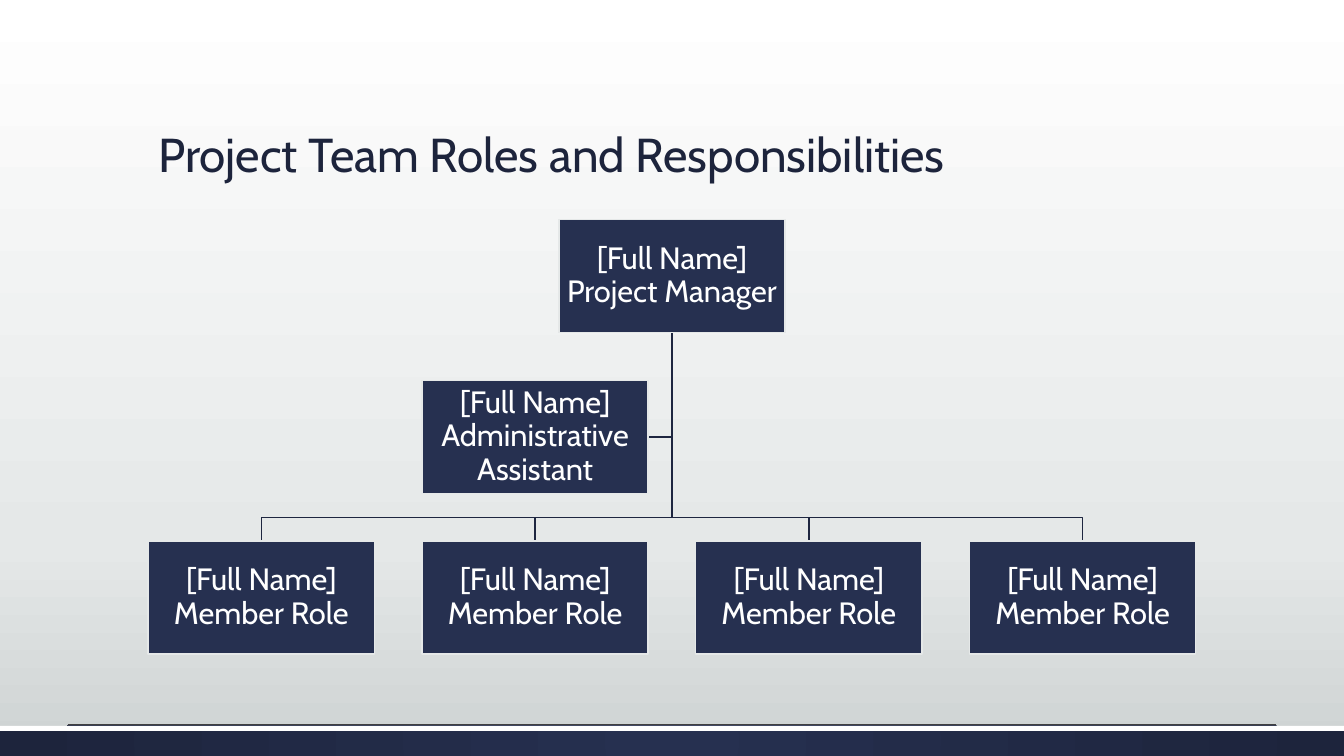
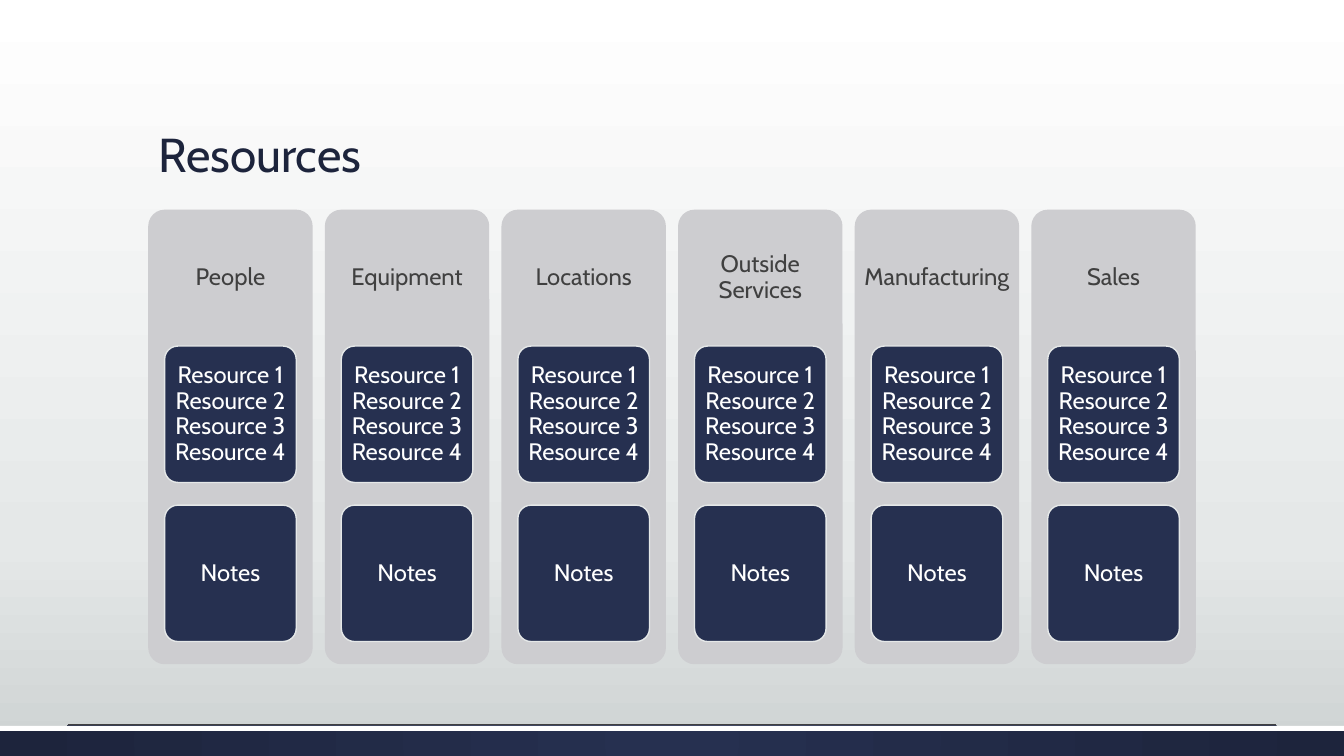
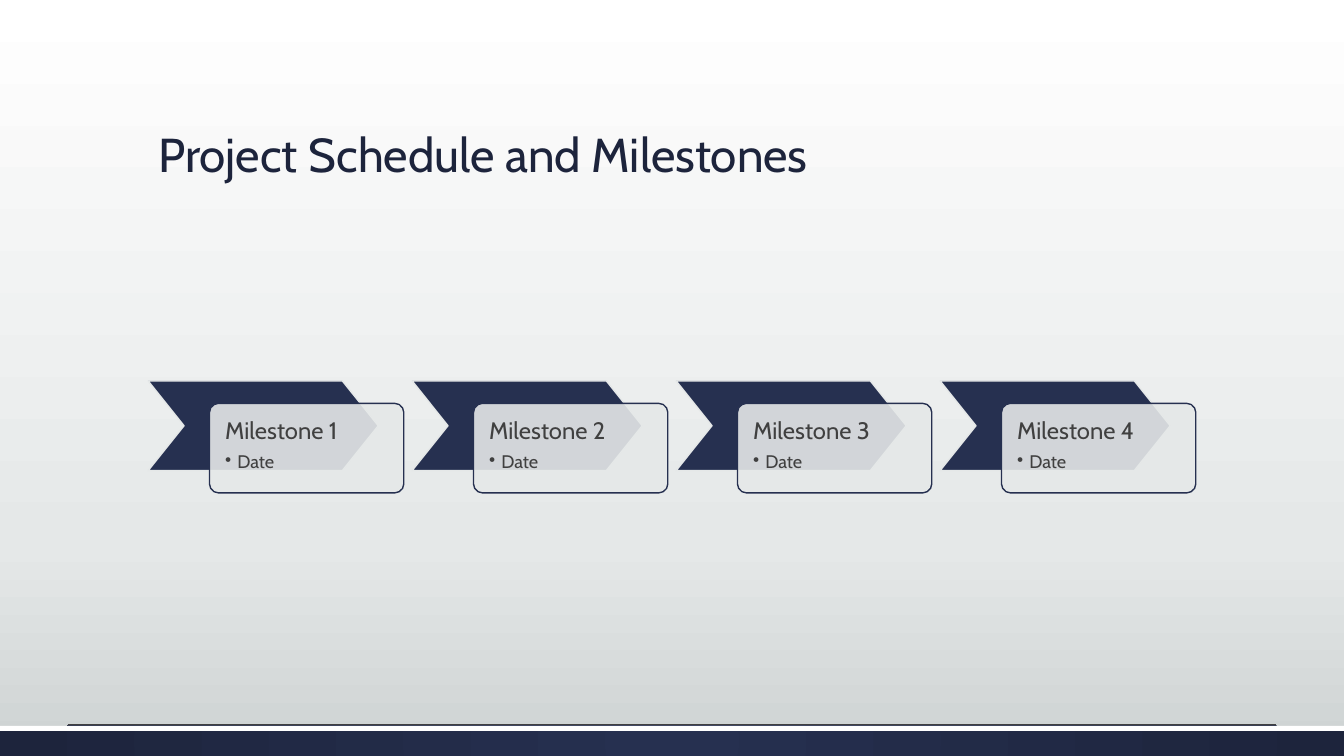
import lxml.etree
import pptx
import pptx.dml.color
import pptx.enum.dml
import pptx.enum.shapes
import pptx.enum.text
import pptx.oxml.ns
import pptx.util

RGBColor = pptx.dml.color.RGBColor
SHAPE = pptx.enum.shapes.MSO_SHAPE
ANCHOR = pptx.enum.text.MSO_ANCHOR
ALIGN = pptx.enum.text.PP_ALIGN
Inches = pptx.util.Inches
Pt = pptx.util.Pt
qn = pptx.oxml.ns.qn

NAVY = RGBColor(0x26, 0x30, 0x50)
DARK_NAVY = RGBColor(0x1D, 0x24, 0x3C)
LINK = RGBColor(0x1E, 0x26, 0x40)
PALE = RGBColor(0xE5, 0xE8, 0xE8)
SILVER = RGBColor(0xCD, 0xD2, 0xD2)
PANEL = RGBColor(0xCD, 0xCD, 0xD0)
GREY = RGBColor(0x40, 0x40, 0x40)
WHITE = RGBColor(0xFF, 0xFF, 0xFF)
FONT = "Cabin"

WIDTH, HEIGHT = 13.33, 7.5
LEFT, CONTENT_W = 1.47, 10.39
TITLE_BOX = (LEFT, 0.51, 10.4, 1.35)
ORG_BOX = (LEFT, 2.18, CONTENT_W, 4.31)
RESOURCE_BOX = (LEFT, 2.08, CONTENT_W, 4.51)
MILESTONE_BOX = (LEFT, 3.78, CONTENT_W, 1.11)


def inches(box):
    return [Inches(v) for v in box]


def set_gradient(fill, element, stops, circle=False):
    fill.gradient()
    grad = element.find(".//" + qn("a:gradFill"))
    grad.clear()
    gs_list = lxml.etree.SubElement(grad, qn("a:gsLst"))
    for pos, color in stops:
        gs = lxml.etree.SubElement(gs_list, qn("a:gs"), pos=str(pos * 1000))
        lxml.etree.SubElement(gs, qn("a:srgbClr"), val=str(color))
    if circle:
        center = lxml.etree.SubElement(grad, qn("a:path"), path="circle")
        lxml.etree.SubElement(center, qn("a:fillToRect"), l="50000", t="50000", r="50000", b="50000")
    else:
        lxml.etree.SubElement(grad, qn("a:lin"), ang="5400000", scaled="0")


def add_box(s, kind, box, fill, line=None, adj=None):
    sp = s.shapes.add_shape(kind, *inches(box))
    sp.shadow.inherit = False
    sp.fill.solid()
    sp.fill.fore_color.rgb = fill
    if line is None:
        sp.line.fill.background()
    else:
        sp.line.color.rgb = line
        sp.line.width = Pt(1)
    if adj is not None:
        sp.adjustments[0] = adj
    return sp


def style(p, size, color, align):
    p.alignment = align
    p.line_spacing = 0.9
    for r in p.runs:
        r.font.name = FONT
        r.font.size = Pt(size)
        r.font.color.rgb = color


def write(sp, text, size, color, align=ALIGN.CENTER, anchor=ANCHOR.MIDDLE, inset=(0.05, 0.04)):
    tf = sp.text_frame
    tf.word_wrap = True
    tf.auto_size = pptx.enum.text.MSO_AUTO_SIZE.NONE
    tf.vertical_anchor = anchor
    tf.margin_left = tf.margin_right = Inches(inset[0])
    tf.margin_top = tf.margin_bottom = Inches(inset[1])
    tf.text = text
    for p in tf.paragraphs:
        style(p, size, color, align)
    return tf


def build_layout(layout, s):
    set_gradient(layout.background.fill, layout.element, [(0, WHITE), (72, PALE), (100, SILVER)])
    title = layout.placeholders[0]
    title.left, title.top, title.width, title.height = inches(TITLE_BOX)
    band = add_box(s, SHAPE.RECTANGLE, (0, 7.2, WIDTH, 0.3), NAVY)
    set_gradient(band.fill, band.element, [(0, NAVY), (100, DARK_NAVY)], circle=True)
    stripe = add_box(s, SHAPE.RECTANGLE, (0, 7.2, WIDTH, 0.05), WHITE)
    rule = s.shapes.add_connector(pptx.enum.shapes.MSO_CONNECTOR.STRAIGHT,
                                  *inches((0.67, 7.19, WIDTH - 0.67, 7.19)))
    rule.line.color.rgb = GREY
    rule.line.width = Pt(0.5)
    lxml.etree.SubElement(rule.element.find(qn("p:spPr")), qn("a:effectLst"))
    for i, sp in enumerate((band, stripe, rule)):
        sp.element.find(".//" + qn("p:cNvPr")).set("id", str(20 + i))
        layout.shapes.element.insert(2 + i, sp.element)


def add_slide(prs, layout, title):
    s = prs.slides.add_slide(layout)
    write(s.shapes.title, title, 34, DARK_NAVY, ALIGN.LEFT, ANCHOR.BOTTOM, (0.1, 0.05))
    return s


def add_link(s, points):
    start, *rest = [inches(pt) for pt in points]
    builder = s.shapes.build_freeform(*start)
    builder.add_line_segments(rest, close=False)
    sp = builder.convert_to_shape()
    sp.shadow.inherit = False
    sp.fill.background()
    sp.line.color.rgb = LINK
    sp.line.width = Pt(1)


def org_chart(s, box, manager, assistant, members):
    x, y, w, h = box
    card_w, card_h = 0.216 * w, 0.26 * h
    last = len(members) - 1
    col_step, row_step = (w - card_w) / last, (h - card_h) / 2
    gap = col_step - card_w
    trunk_x, trunk_y = x + w / 2, y + card_h
    member_y = y + 2 * row_step
    bus_y = member_y - gap / 2
    aide_y = y + row_step + card_h / 2

    add_link(s, [(trunk_x, trunk_y), (trunk_x, aide_y), (trunk_x - gap / 2, aide_y)])
    for i in range(len(members)):
        member_x = x + i * col_step + card_w / 2
        add_link(s, [(trunk_x, trunk_y), (trunk_x, bus_y), (member_x, bus_y), (member_x, member_y)])

    cards = [(last / 2, 0, manager), (1, 1, assistant)]
    cards += [(i, 2, role) for i, role in enumerate(members)]
    for col, row, role in cards:
        place = (x + col * col_step, y + row * row_step, card_w, card_h)
        sp = add_box(s, SHAPE.RECTANGLE, place, NAVY, PALE)
        write(sp, f"[Full Name] {role}", 22, WHITE, inset=(0.02, 0.02))


def resource_columns(s, box, headings, cards):
    x, y, w, h = box
    panel_w = 0.157 * w
    step = (w - panel_w) / (len(headings) - 1)
    for i, heading in enumerate(headings):
        left = x + i * step
        add_box(s, SHAPE.ROUNDED_RECTANGLE, (left, y, panel_w, h), PANEL, adj=0.1)
        label = s.shapes.add_textbox(*inches((left, y, panel_w, 0.3 * h)))
        write(label, heading, 17, GREY, inset=(0.07, 0.07))
        for row, text in enumerate(cards):
            place = (left + 0.1 * panel_w, y + (0.3 + 0.35 * row) * h, 0.8 * panel_w, 0.3 * h)
            sp = add_box(s, SHAPE.ROUNDED_RECTANGLE, place, NAVY, PALE, 0.1)
            write(sp, text, 17, WHITE)


def milestone_row(s, box, names):
    x, y, w, h = box
    unit_w = 0.244 * w
    step = (w - unit_w) / (len(names) - 1)
    for i, name in enumerate(names):
        left = x + i * step
        add_box(s, SHAPE.CHEVRON, (left, y, 0.9 * unit_w, 0.8 * h), NAVY, PALE, 0.4)
        place = (left + 0.24 * unit_w, y + 0.2 * h, 0.76 * unit_w, 0.8 * h)
        sp = add_box(s, SHAPE.ROUNDED_RECTANGLE, place, PALE, NAVY, 0.1)
        color = sp.element.find(".//" + qn("a:solidFill")).find(qn("a:srgbClr"))
        lxml.etree.SubElement(color, qn("a:alpha"), val="90000")
        tf = write(sp, name, 17, GREY, ALIGN.LEFT, ANCHOR.TOP, (0.13, 0.13))
        tf.paragraphs[0].space_after = Pt(6)
        p = tf.add_paragraph()
        p.text = "Date"
        p.level = 1
        props = p._p.get_or_add_pPr()
        props.set("marL", str(Inches(0.12)))
        props.set("indent", str(-Inches(0.12)))
        lxml.etree.SubElement(props, qn("a:buChar"), char="•")
        style(p, 13, GREY, ALIGN.LEFT)


def main():
    prs = pptx.Presentation()
    prs.slide_width, prs.slide_height = Inches(WIDTH), Inches(HEIGHT)
    layout = prs.slide_layouts[5]

    s = add_slide(prs, layout, "Project Team Roles and Responsibilities")
    build_layout(layout, s)
    org_chart(s, ORG_BOX, "Project Manager", "Administrative Assistant", ["Member Role"] * 4)

    s = add_slide(prs, layout, "Resources")
    headings = ["People", "Equipment", "Locations", "Outside Services", "Manufacturing", "Sales"]
    resources = "\n".join(f"Resource {n}" for n in range(1, 5))
    resource_columns(s, RESOURCE_BOX, headings, [resources, "Notes"])

    s = add_slide(prs, layout, "Project Schedule and Milestones")
    milestone_row(s, MILESTONE_BOX, [f"Milestone {n}" for n in range(1, 5)])

    prs.save("out.pptx")


if __name__ == "__main__":
    main()
